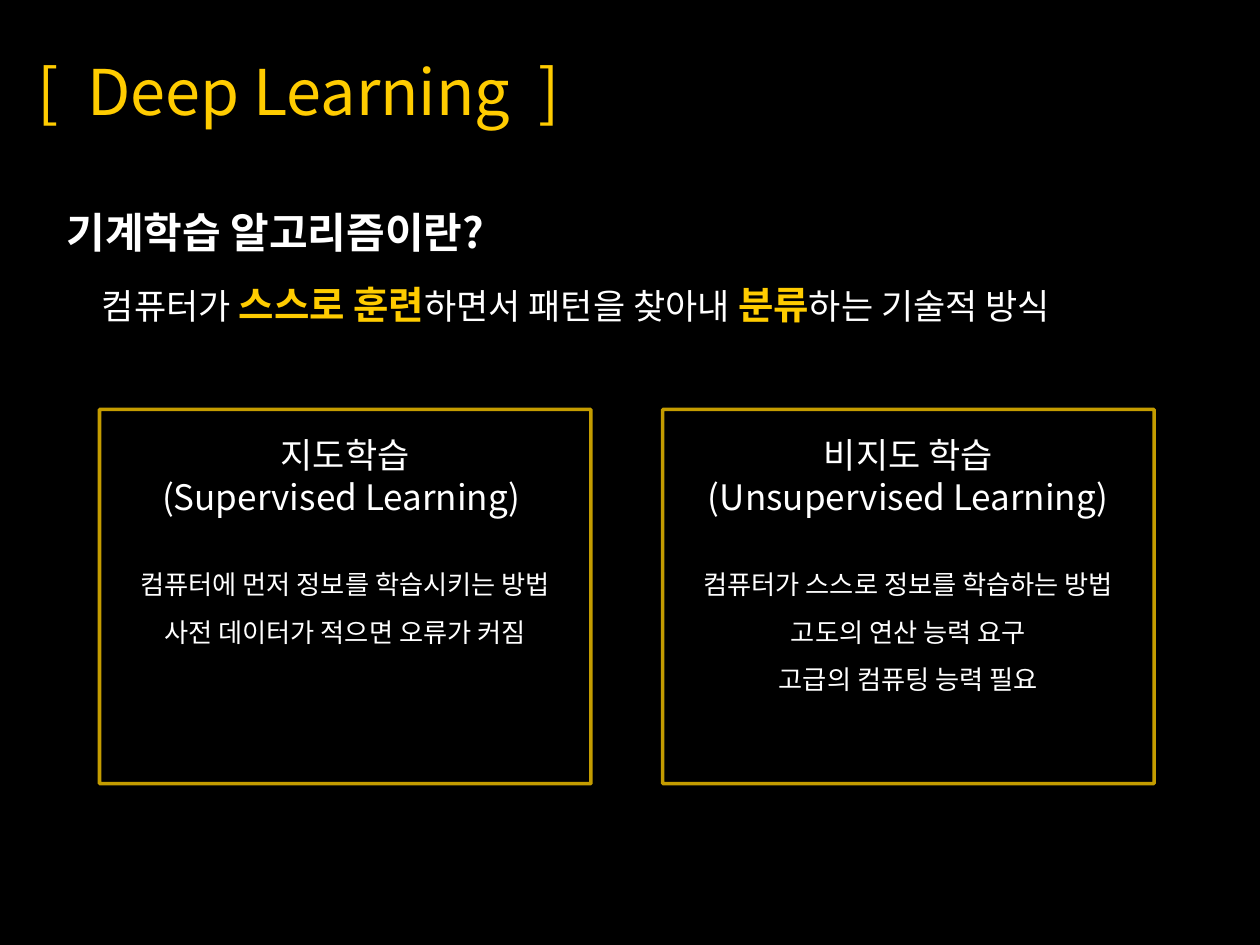
from dataclasses import dataclass

from lxml import etree
from pptx import Presentation
from pptx import util as u
from pptx.dml.color import RGBColor
from pptx.enum import shapes, text
from pptx.oxml import ns


@dataclass(frozen=True)
class Theme:
    font: str = "Noto Sans CJK KR"
    back: str = "000000"
    plain: str = "FFFFFF"
    gold: str = "FFCC00"
    title: int = 36
    head: int = 24
    strong: int = 22
    lead: int = 20
    body: int = 15


T = Theme()


def style(run, size, color, bold):
    font = run.font
    font.size = u.Pt(size)
    font.bold = bold
    font.name = T.font
    font.color.rgb = RGBColor.from_string(color)
    east = etree.SubElement(run._r.get_or_add_rPr(), ns.qn("a:ea"))
    east.set("typeface", T.font)


def write(slide, box, lines, size, color=T.plain, bold=False, center=False, space=1.0):
    frame = slide.shapes.add_textbox(*map(u.Inches, box)).text_frame
    frame.word_wrap = True
    for i, line in enumerate(lines):
        para = frame.add_paragraph() if i else frame.paragraphs[0]
        para.alignment = text.PP_ALIGN.CENTER if center else text.PP_ALIGN.LEFT
        para.line_spacing = space
        for part in [line] if isinstance(line, str) else line:
            words, strong = (part, False) if isinstance(part, str) else part
            run = para.add_run()
            run.text = words
            if strong:
                style(run, T.strong, T.gold, True)
            else:
                style(run, size, color, bold)


def header(slide, box):
    left, top, width, height = box
    write(slide, (left, top, 4.49, height), ["[  Deep Learning  ]"], T.title, color=T.gold)


def intro(slide, box):
    left, top, width, height = box
    write(slide, (left, top, width, 0.7), ["기계학습 알고리즘이란?"],
          T.head, bold=True, space=1.5)
    lead = ["컴퓨터가 ", ("스스로 훈련", True), "하면서 패턴을 찾아내 ",
            ("분류", True), "하는 기술적 방식"]
    write(slide, (left + 0.28, top + 0.79, 8.47, 0.47), [lead], T.lead)


def card(slide, box, head, body, wide, slim):
    left, top, width, height = box
    mid = left + width / 2
    write(slide, (mid - wide / 2, top + 0.14, wide, 0.77), head, T.lead, center=True)
    write(slide, (mid - slim / 2, top + 1.09, slim, height - 1.37), body,
          T.body, center=True, space=1.5)
    frame = slide.shapes.add_shape(shapes.MSO_SHAPE.RECTANGLE, *map(u.Inches, box))
    frame.shadow.inherit = False
    frame.fill.background()
    frame.line.width = u.Pt(2)
    frame.line.color.rgb = RGBColor.from_string(T.gold)
    color = frame.line._ln.find(".//" + ns.qn("a:srgbClr"))
    etree.SubElement(color, ns.qn("a:alpha")).set("val", "76000")


def main():
    deck = Presentation()
    deck.slide_width, deck.slide_height = u.Inches(10), u.Inches(7.5)
    slide = deck.slides.add_slide(deck.slide_layouts[6])
    fill = slide.background.fill
    fill.solid()
    fill.fore_color.rgb = RGBColor.from_string(T.back)

    header(slide, (0.2, 0.37, 9.6, 1.3))
    intro(slide, (0.43, 1.39, 9.14, 1.26))
    cards = [
        (["지도학습", "(Supervised Learning) "],
         ["컴퓨터에 먼저 정보를 학습시키는 방법", "사전 데이터가 적으면 오류가 커짐"],
         4.25, 3.54),
        (["비지도 학습", "(Unsupervised Learning)"],
         ["컴퓨터가 스스로 정보를 학습하는 방법", "고도의 연산 능력 요구",
          "고급의 컴퓨팅 능력 필요"],
         4.73, 3.46),
    ]
    for i, parts in enumerate(cards):
        card(slide, (0.79 + i * 4.47, 3.25, 3.9, 2.97), *parts)
    deck.save("out.pptx")


if __name__ == "__main__":
    main()
